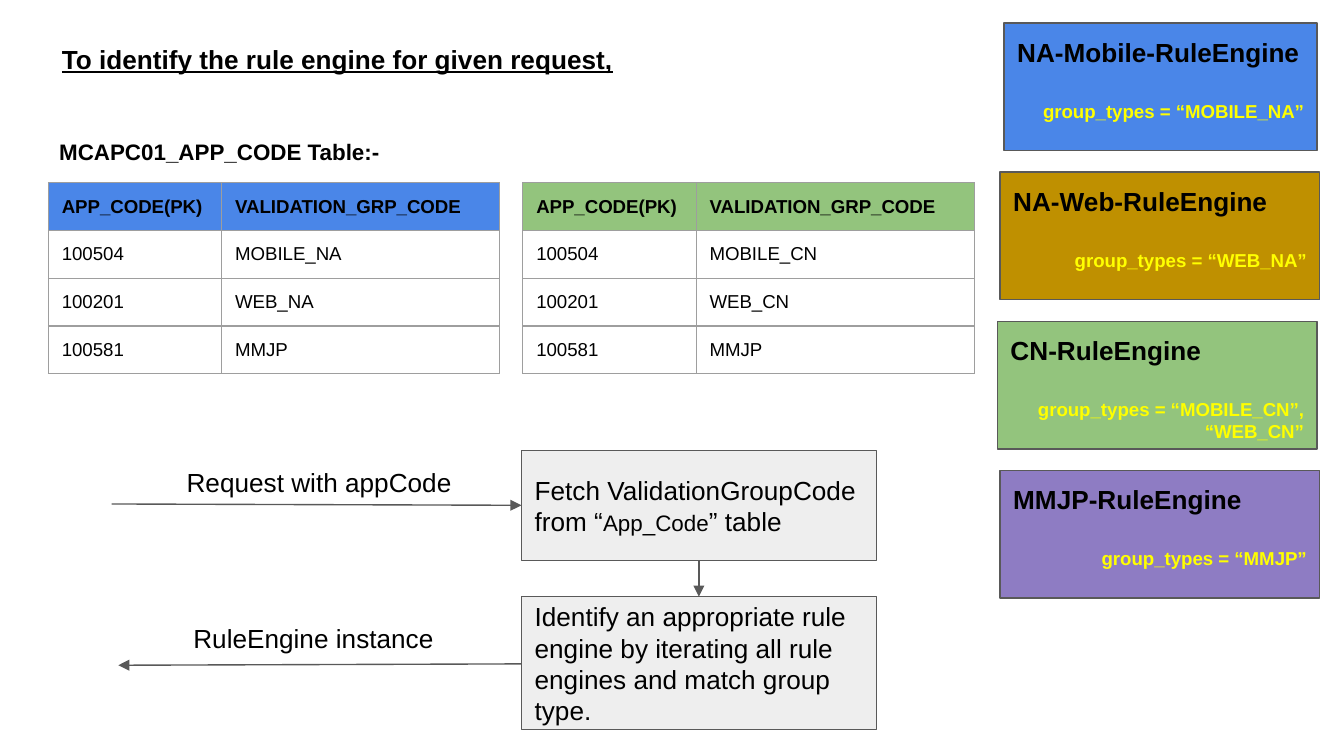
from dataclasses import dataclass

from lxml import etree
from pptx import Presentation
from pptx.dml.color import RGBColor
from pptx.enum import shapes, text
from pptx.oxml import ns
from pptx.util import Inches, Pt


@dataclass(frozen=True)
class Theme:
    font: str = "Arial"
    ink: str = "000000"
    line: str = "595959"
    border: str = "9E9E9E"
    step: str = "EEEEEE"
    blue: str = "4A86E8"
    green: str = "93C47D"
    gold: str = "BF9000"
    purple: str = "8E7CC3"
    yellow: str = "FFFF00"
    large: float = 14
    medium: float = 12
    small: float = 10
    stroke: float = 0.75


@dataclass(frozen=True)
class Box:
    left: float
    top: float
    width: float
    height: float

    def emu(self) -> tuple:
        return tuple(Inches(v) for v in (self.left, self.top, self.width, self.height))


@dataclass(frozen=True)
class Engine:
    name: str
    groups: str
    fill: str
    left: float
    width: float


@dataclass(frozen=True)
class CodeTable:
    left: float
    fill: str
    region: str


@dataclass(frozen=True)
class Arrow:
    start: tuple[float, float]
    end: tuple[float, float]


THEME = Theme()
ENGINE_TOP, ENGINE_STEP, ENGINE_HEIGHT = 0.17, 1.11, 0.95
TABLE_TOP, ROW_HEIGHT, COLUMNS = 1.36, 0.34, (1.29, 2.07)

ENGINES = [
    Engine("NA-Mobile-RuleEngine", "“MOBILE_NA”", THEME.blue, 7.47, 2.33),
    Engine("NA-Web-RuleEngine", "“WEB_NA”", THEME.gold, 7.44, 2.38),
    Engine("CN-RuleEngine", "“MOBILE_CN”, “WEB_CN”", THEME.green, 7.42, 2.38),
    Engine("MMJP-RuleEngine", "“MMJP”", THEME.purple, 7.44, 2.38),
]
TABLES = [CodeTable(0.36, THEME.blue, "NA"), CodeTable(3.89, THEME.green, "CN")]
STEPS = [
    (Box(3.88, 3.35, 2.64, 0.82),
     [("Fetch ValidationGroupCode from “", THEME.large),
      ("App_Code", THEME.medium),
      ("” table", THEME.large)]),
    (Box(3.88, 4.44, 2.64, 0.99),
     [("Identify an appropriate rule engine by iterating all rule engines "
       "and match group type.", THEME.large)]),
]
LABELS = [
    (Box(1.29, 3.37, 2.2, 0.56), "Request with appCode"),
    (Box(1.34, 4.53, 2.05, 0.56), "RuleEngine instance"),
]
ARROWS = [
    Arrow((0.83, 3.75), (3.88, 3.76)),
    Arrow((5.2, 4.17), (5.2, 4.44)),
    Arrow((3.88, 4.94), (0.88, 4.95)),
]


def rgb(color: str) -> RGBColor:
    return RGBColor.from_string(color)


def style(p, size: float, color: str = THEME.ink, bold: bool = False,
          align=text.PP_ALIGN.LEFT) -> None:
    p.alignment = align
    p.font.name, p.font.size, p.font.bold = THEME.font, Pt(size), bold
    p.font.color.rgb = rgb(color)


def setup_frame(tf, anchor=text.MSO_ANCHOR.TOP) -> None:
    tf.word_wrap = True
    tf.auto_size = text.MSO_AUTO_SIZE.NONE
    tf.vertical_anchor = anchor
    tf.margin_left = tf.margin_right = tf.margin_top = tf.margin_bottom = Inches(0.1)


def place_heading(sp, box: Box, words: str, size: float, underline: bool = False) -> None:
    sp.left, sp.top, sp.width, sp.height = box.emu()
    setup_frame(sp.text_frame)
    p = sp.text_frame.paragraphs[0]
    p.text = words
    p.space_before = Pt(0)
    style(p, size, bold=True)
    p.font.underline = underline


def add_label(s, box: Box, words: str) -> None:
    tf = s.shapes.add_textbox(*box.emu()).text_frame
    setup_frame(tf)
    tf.text = words
    style(tf.paragraphs[0], THEME.large)


def add_rect(s, box: Box, fill: str, anchor=text.MSO_ANCHOR.TOP):
    sp = s.shapes.add_shape(shapes.MSO_SHAPE.RECTANGLE, *box.emu())
    sp.shadow.inherit = False
    sp.fill.solid()
    sp.fill.fore_color.rgb = rgb(fill)
    sp.line.color.rgb = rgb(THEME.line)
    sp.line.width = Pt(THEME.stroke)
    setup_frame(sp.text_frame, anchor)
    return sp.text_frame


def add_engine(s, engine: Engine, top: float) -> None:
    tf = add_rect(s, Box(engine.left, top, engine.width, ENGINE_HEIGHT), engine.fill)
    tf.text = engine.name
    style(tf.paragraphs[0], THEME.large, bold=True)
    p = tf.add_paragraph()
    p.text = f"group_types = {engine.groups}"
    p.space_before = Pt(17)
    style(p, THEME.small, THEME.yellow, True, text.PP_ALIGN.RIGHT)


def add_step(s, box: Box, runs: list[tuple[str, float]]) -> None:
    p = add_rect(s, box, THEME.step, text.MSO_ANCHOR.MIDDLE).paragraphs[0]
    style(p, THEME.large)
    for words, size in runs:
        r = p.add_run()
        r.text = words
        r.font.size = Pt(size)


def add_borders(cell) -> None:
    tc_pr = cell._tc.get_or_add_tcPr()
    for i, side in enumerate(("lnL", "lnR", "lnT", "lnB")):
        ln = etree.Element(ns.qn(f"a:{side}"), w=str(Pt(THEME.stroke)))
        fill = etree.SubElement(ln, ns.qn("a:solidFill"))
        etree.SubElement(fill, ns.qn("a:srgbClr"), val=THEME.border)
        tc_pr.insert(i, ln)


def add_code_table(s, spec: CodeTable) -> None:
    rows = [
        ("APP_CODE(PK)", "VALIDATION_GRP_CODE"),
        ("100504", f"MOBILE_{spec.region}"),
        ("100201", f"WEB_{spec.region}"),
        ("100581", "MMJP"),
    ]
    box = Box(spec.left, TABLE_TOP, sum(COLUMNS), ROW_HEIGHT * len(rows))
    table = s.shapes.add_table(len(rows), len(COLUMNS), *box.emu()).table
    table.horz_banding = table.first_row = False
    for column, width in zip(table.columns, COLUMNS):
        column.width = Inches(width)
    for i, row in enumerate(rows):
        for j, words in enumerate(row):
            cell = table.cell(i, j)
            cell.text = words
            cell.margin_left = cell.margin_right = Inches(0.1)
            cell.margin_top = cell.margin_bottom = Inches(0.1)
            style(cell.text_frame.paragraphs[0], THEME.small, bold=i == 0)
            if i == 0:
                cell.fill.solid()
                cell.fill.fore_color.rgb = rgb(spec.fill)
            else:
                cell.fill.background()
            add_borders(cell)


def add_arrow(s, arrow: Arrow) -> None:
    points = [Inches(v) for v in arrow.start + arrow.end]
    line = s.shapes.add_connector(shapes.MSO_CONNECTOR.STRAIGHT, *points)
    line.line.color.rgb = rgb(THEME.line)
    line.line.width = Pt(THEME.stroke)
    sp_pr = line._element.spPr
    etree.SubElement(sp_pr.find(ns.qn("a:ln")), ns.qn("a:tailEnd"), type="triangle")
    etree.SubElement(sp_pr, ns.qn("a:effectLst"))


def main() -> None:
    prs = Presentation()
    prs.slide_width = Inches(10)
    prs.slide_height = prs.slide_width * 9 // 16
    s = prs.slides.add_slide(prs.slide_layouts[0])
    place_heading(s.shapes.title, Box(0.34, 0.93, 3.46, 2.13),
                  "MCAPC01_APP_CODE Table:-", THEME.medium)
    place_heading(s.placeholders[1], Box(0.36, 0.22, 4.65, 0.39),
                  "To identify the rule engine for given request,", THEME.large, True)
    for spec in TABLES:
        add_code_table(s, spec)
    for i, engine in enumerate(ENGINES):
        add_engine(s, engine, ENGINE_TOP + i * ENGINE_STEP)
    for box, runs in STEPS:
        add_step(s, box, runs)
    for box, words in LABELS:
        add_label(s, box, words)
    for arrow in ARROWS:
        add_arrow(s, arrow)
    prs.save("out.pptx")


if __name__ == "__main__":
    main()
